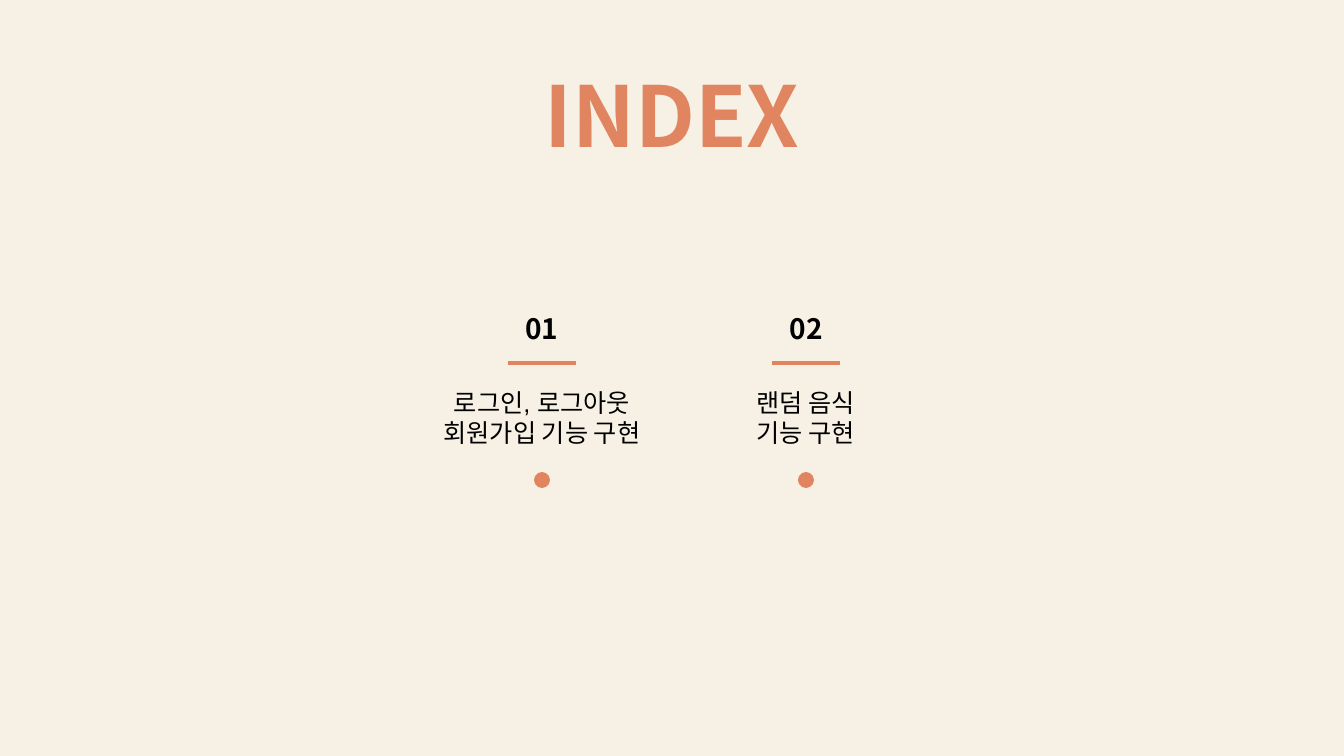
from dataclasses import dataclass

from lxml import etree
from pptx import Presentation
from pptx.dml.color import RGBColor
from pptx.enum.shapes import MSO_CONNECTOR, MSO_SHAPE
from pptx.enum.text import MSO_ANCHOR, PP_ALIGN
from pptx.oxml.ns import qn
from pptx.util import Pt

PX = 914400 / 100.8
STRAIGHT = MSO_CONNECTOR.STRAIGHT
OVAL = MSO_SHAPE.OVAL
CENTER = PP_ALIGN.CENTER
TOP = MSO_ANCHOR.TOP
TITLE_ONLY = 5


@dataclass(frozen=True)
class Theme:
    cream: RGBColor = RGBColor(0xF7, 0xF1, 0xE5)
    coral: RGBColor = RGBColor(0xE0, 0x85, 0x60)
    black: RGBColor = RGBColor(0, 0, 0)
    heading_font: str = "Noto Sans CJK KR"
    body_font: str = "Arial"
    title_size: int = 60
    number_size: int = 20
    label_size: int = 18
    rule_width: float = 2.25


THEME = Theme()
FIRST_CENTER, ITEM_PITCH = 542, 264
ITEMS = [
    ("01", ["로그인, 로그아웃", "회원가입 기능 구현"]),
    ("02", ["랜덤 음식", "기능 구현"]),
]


def px(*lengths):
    return [round(length * PX) for length in lengths]


def write_lines(frame, lines, size, font, color, bold=False):
    """Fill a text frame with one centred paragraph, broken into lines."""
    frame.word_wrap = False
    frame.vertical_anchor = TOP
    paragraph = frame.paragraphs[0]
    paragraph.alignment = CENTER
    for index, line in enumerate(lines):
        if index:
            paragraph.add_line_break()
        run = paragraph.add_run()
        run.text = line
        run.font.size = Pt(size)
        run.font.name = font
        run.font.bold = bold
        run.font.color.rgb = color


def add_title(slide, text):
    title = slide.shapes.title
    title.left, title.top, title.width, title.height = px(532, 58, 280, 112)
    write_lines(title.text_frame, [text], THEME.title_size,
                THEME.heading_font, THEME.coral, bold=True)


def add_centered_text(shapes, center, top, width, height, lines, size, font, bold=False):
    box = shapes.add_textbox(*px(center - width / 2, top, width, height))
    write_lines(box.text_frame, lines, size, font, THEME.black, bold)


def add_rule(shapes, center, y, width):
    rule = shapes.add_connector(
        STRAIGHT, *px(center - width / 2, y, center + width / 2, y))
    rule.line.color.rgb = THEME.coral
    rule.line.width = Pt(THEME.rule_width)
    etree.SubElement(rule._element.spPr, qn("a:effectLst"))


def add_dot(shapes, center, top, diameter):
    dot = shapes.add_shape(OVAL, *px(center - diameter / 2, top, diameter, diameter))
    dot.shadow.inherit = False
    dot.fill.solid()
    dot.fill.fore_color.rgb = THEME.coral
    dot.line.fill.background()


def add_index_item(slide, center, number, label):
    shapes = slide.shapes.add_group_shape().shapes
    add_centered_text(shapes, center, 307, 54, 44, [number],
                      THEME.number_size, THEME.heading_font, bold=True)
    add_rule(shapes, center, 363, 68)
    add_centered_text(shapes, center, 382, 242, 72, label,
                      THEME.label_size, THEME.body_font)
    add_dot(shapes, center, 472, 16)


def main():
    presentation = Presentation()
    presentation.slide_width, presentation.slide_height = px(1344, 756)
    slide = presentation.slides.add_slide(presentation.slide_layouts[TITLE_ONLY])
    slide.background.fill.solid()
    slide.background.fill.fore_color.rgb = THEME.cream
    add_title(slide, "INDEX")
    for index, (number, label) in enumerate(ITEMS):
        add_index_item(slide, FIRST_CENTER + index * ITEM_PITCH, number, label)
    presentation.save("out.pptx")


if __name__ == "__main__":
    main()
